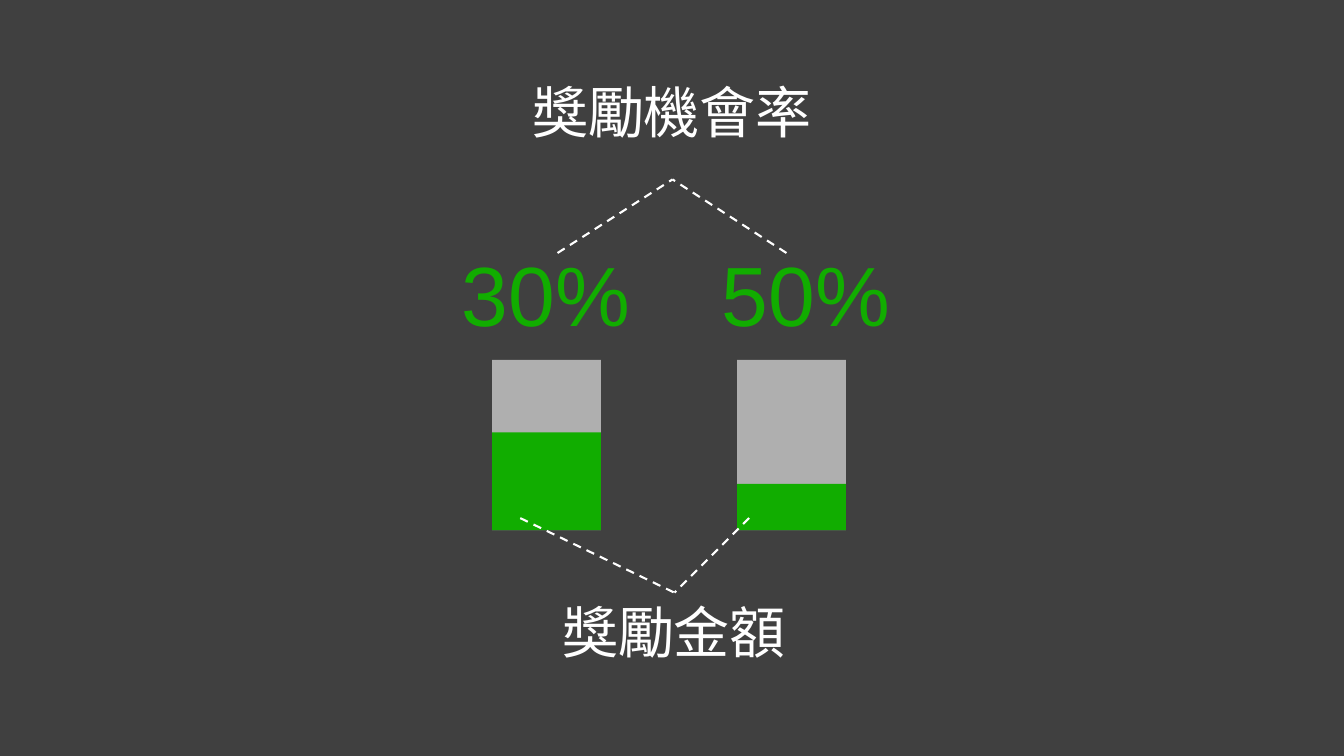
from pptx import Presentation
from pptx.dml.color import RGBColor
from pptx.enum.dml import MSO_LINE
from pptx.enum.shapes import MSO_CONNECTOR, MSO_SHAPE
from pptx.enum.text import MSO_ANCHOR, PP_ALIGN
from pptx.oxml.ns import qn
from pptx.util import Inches, Pt
from lxml.etree import SubElement

COLORS = {"back": "404040", "gray": "AFAFAF", "green": "11AD00", "white": "FFFFFF"}


def color(name):
    return RGBColor.from_string(COLORS[name])


def write(shape, text, size, tint, align, anchor):
    frame = shape.text_frame
    frame.text = text
    frame.word_wrap = True
    frame.vertical_anchor = anchor
    para = frame.paragraphs[0]
    para.alignment = align
    font = para.runs[0].font
    font.name = "Arial"
    font.size = Pt(size)
    font.color.rgb = color(tint)
    return para


def add_label(slide, text, left, top, width, height):
    box = slide.shapes.add_textbox(*map(Inches, (left, top, width, height)))
    write(box, text, 40, "white", PP_ALIGN.CENTER, MSO_ANCHOR.TOP)


def add_title(slide, text, left, top, width, height):
    title = slide.shapes.title
    title.left, title.top = Inches(left), Inches(top)
    title.width, title.height = Inches(width), Inches(height)
    para = write(title, text, 40, "white", PP_ALIGN.CENTER, MSO_ANCHOR.TOP)
    para.line_spacing = 1.0


def add_rate(slide, text, left, top):
    box = slide.shapes.add_textbox(*map(Inches, (left, top, 1.87, 0.9)))
    para = write(box, text, 60, "green", PP_ALIGN.LEFT, MSO_ANCHOR.MIDDLE)
    para.line_spacing = 0.9
    para.space_before = Pt(10)


def add_bar(slide, left, top, width, height, fill):
    group = slide.shapes.add_group_shape()
    for tint, size in (("gray", height), ("green", fill)):
        place = (left, top + height - size, width, size)
        bar = group.shapes.add_shape(MSO_SHAPE.RECTANGLE, *map(Inches, place))
        bar.shadow.inherit = False
        bar.fill.solid()
        bar.fill.fore_color.rgb = color(tint)
        bar.line.fill.background()


def add_fork(slide, tip, ends):
    group = slide.shapes.add_group_shape()
    for end in ends:
        line = group.shapes.add_connector(
            MSO_CONNECTOR.STRAIGHT, *map(Inches, (*end, *tip)))
        line.line.color.rgb = color("white")
        line.line.width = Pt(1.5)
        line.line.dash_style = MSO_LINE.DASH
        SubElement(line.element.spPr, qn("a:effectLst"))


def main():
    deck = Presentation()
    deck.slide_width, deck.slide_height = Inches(13.33), Inches(7.5)
    slide = deck.slides.add_slide(deck.slide_layouts[5])
    slide.background.fill.solid()
    slide.background.fill.fore_color.rgb = color("back")

    add_title(slide, "獎勵機會率", 4.85, 0.72, 3.63, 0.77)
    for rate, text_left, bar_left, fill in (
            ("30%", 4.48, 4.88, 0.97), ("50%", 7.06, 7.31, 0.46)):
        add_bar(slide, bar_left, 3.57, 1.08, 1.69, fill)
        add_rate(slide, rate, text_left, 2.52)
    add_label(slide, "獎勵金額", 5.35, 5.88, 2.67, 0.77)
    add_fork(slide, (6.69, 5.88), ((5.16, 5.14), (7.43, 5.14)))
    add_fork(slide, (6.67, 1.78), ((7.8, 2.51), (5.53, 2.51)))
    deck.save("out.pptx")


if __name__ == "__main__":
    main()
